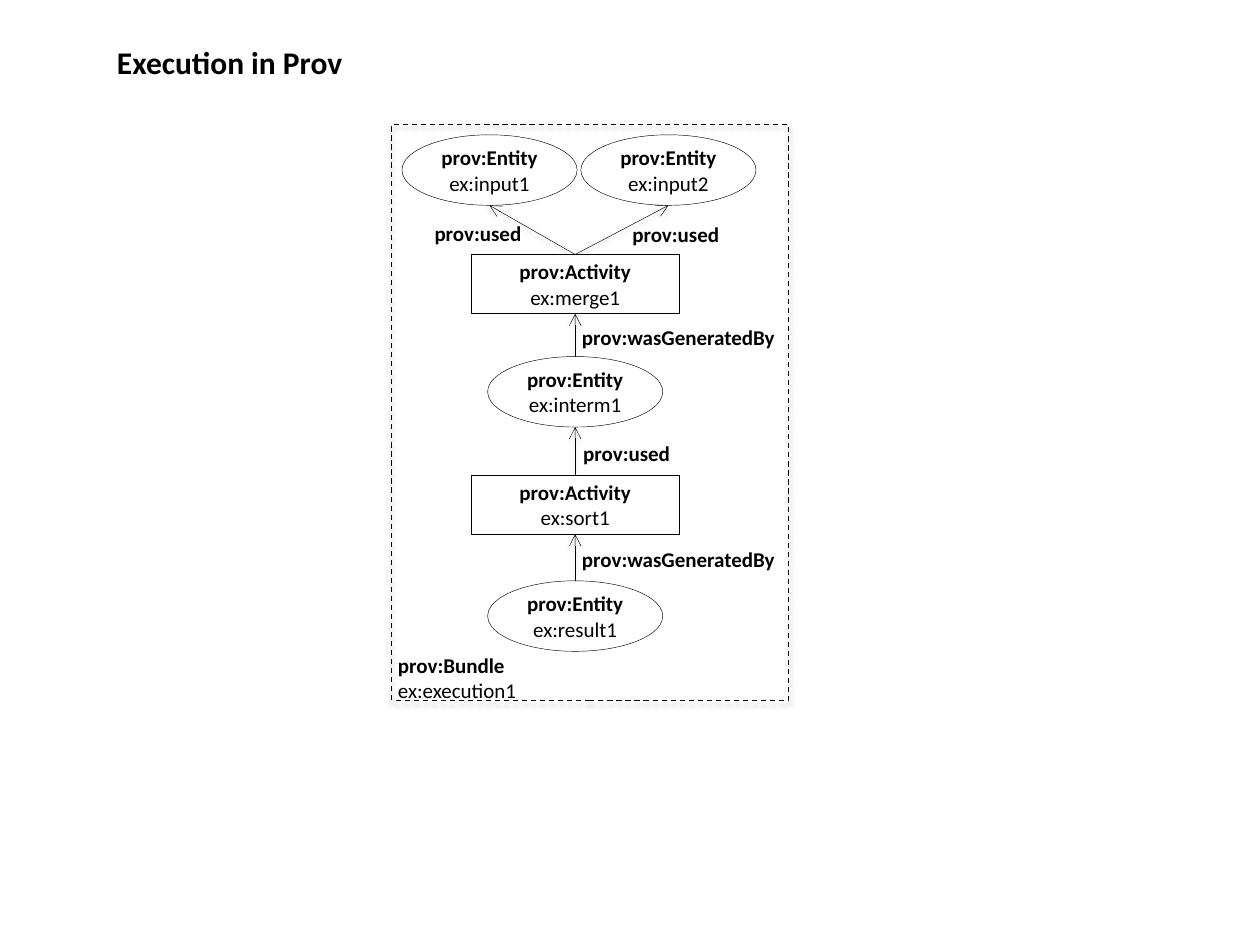
from lxml import etree
from pptx import Presentation
from pptx.dml.color import RGBColor
from pptx.enum import dml, shapes, text
from pptx.oxml import parse_xml
from pptx.oxml.ns import qn
from pptx.util import Inches, Pt

THEME = {
    "font": "Calibri",
    "ink": RGBColor(0, 0, 0),
    "paper": RGBColor(255, 255, 255),
    "title": Pt(18),
    "body": Pt(12),
    "thin": Pt(0.25),
    "frame": Pt(0.75),
}
SHADOW = (
    '<a:effectLst xmlns:a="http://schemas.openxmlformats.org/drawingml/2006/main">'
    '<a:outerShdw blurRad="40000" dist="20000" dir="5400000" rotWithShape="0">'
    '<a:srgbClr val="000000"><a:alpha val="38000"/></a:srgbClr>'
    "</a:outerShdw></a:effectLst>"
)

deck = Presentation()
deck.slide_width, deck.slide_height = Inches(10), Inches(7.5)
page = deck.slides.add_slide(deck.slide_layouts[6])


def write(box, heading, name=None, size=THEME["body"]):
    """Put a bold heading and an optional plain name below it in a box."""
    para = box.text_frame.paragraphs[0]
    for words, bold in ((heading, True), (name, False)):
        if words is None:
            continue
        if not bold:
            para.add_line_break()
        span = para.add_run()
        span.text = words
        span.font.name, span.font.size, span.font.bold = THEME["font"], size, bold
        span.font.color.rgb = THEME["ink"]
    return para


def add_label(left, top, width, height, heading, name=None, size=THEME["body"]):
    box = page.shapes.add_textbox(Inches(left), Inches(top), Inches(width), Inches(height))
    box.text_frame.word_wrap = True
    write(box, heading, name, size)


# Title
add_label(0.83, 0.29, 6.02, 0.4, "Execution in Prov", size=THEME["title"])

# Bundle frame
bundle = page.shapes.add_shape(
    shapes.MSO_SHAPE.RECTANGLE, Inches(3.11), Inches(0.99), Inches(3.15), Inches(4.57))
bundle.fill.background()
bundle.line.color.rgb = THEME["ink"]
bundle.line.width = THEME["frame"]
bundle.line.dash_style = dml.MSO_LINE.DASH
bundle.shadow.inherit = False
empty_effects = bundle._element.spPr.find(qn("a:effectLst"))
bundle._element.spPr.replace(empty_effects, parse_xml(SHADOW))

# Entities and activities: kind, centre x, top
kinds = {
    "Entity": (shapes.MSO_SHAPE.OVAL, 1.39, 0.56),
    "Activity": (shapes.MSO_SHAPE.RECTANGLE, 1.65, 0.47),
}
axis = 4.565
nodes = {
    "input1": ("Entity", 3.885, 1.07),
    "input2": ("Entity", 5.305, 1.07),
    "merge1": ("Activity", axis, 2.02),
    "interm1": ("Entity", axis, 2.83),
    "sort1": ("Activity", axis, 3.77),
    "result1": ("Entity", axis, 4.61),
}

# Arrows run from the top of one node to the bottom of another
arrows = [("merge1", "input1"), ("merge1", "input2"), ("interm1", "merge1"),
          ("sort1", "interm1"), ("result1", "sort1")]
for source, target in arrows:
    _, start_x, start_y = nodes[source]
    target_kind, end_x, target_top = nodes[target]
    end_y = target_top + kinds[target_kind][2]
    arrow = page.shapes.add_connector(
        shapes.MSO_CONNECTOR.STRAIGHT,
        Inches(start_x), Inches(start_y), Inches(end_x), Inches(end_y))
    arrow.line.color.rgb = THEME["ink"]
    arrow.line.width = THEME["thin"]
    etree.SubElement(arrow.line._get_or_add_ln(), qn("a:tailEnd"), type="arrow")
    arrow._element.spPr.append(parse_xml(SHADOW))

for name, (kind, centre, top) in nodes.items():
    preset, width, height = kinds[kind]
    node = page.shapes.add_shape(
        preset, Inches(centre - width / 2), Inches(top), Inches(width), Inches(height))
    node.shadow.inherit = False
    node.fill.solid()
    node.fill.fore_color.rgb = THEME["paper"]
    node.line.color.rgb = THEME["ink"]
    node.line.width = THEME["thin"]
    frame = node.text_frame
    frame.margin_left = frame.margin_right = frame.margin_top = frame.margin_bottom = 0
    frame.vertical_anchor = text.MSO_ANCHOR.MIDDLE
    write(node, f"prov:{kind}", f"ex:{name}").alignment = text.PP_ALIGN.CENTER

# Relation labels
for left, top, relation in [
    (3.35, 1.7, "used"),
    (4.92, 1.71, "used"),
    (4.52, 2.53, "wasGeneratedBy"),
    (4.53, 3.45, "used"),
    (4.52, 4.29, "wasGeneratedBy"),
]:
    add_label(left, top, 1.75, 0.3, f"prov:{relation}")

# Bundle caption
add_label(3.06, 5.13, 1.75, 0.5, "prov:Bundle", "ex:execution1")

deck.save("out.pptx")
